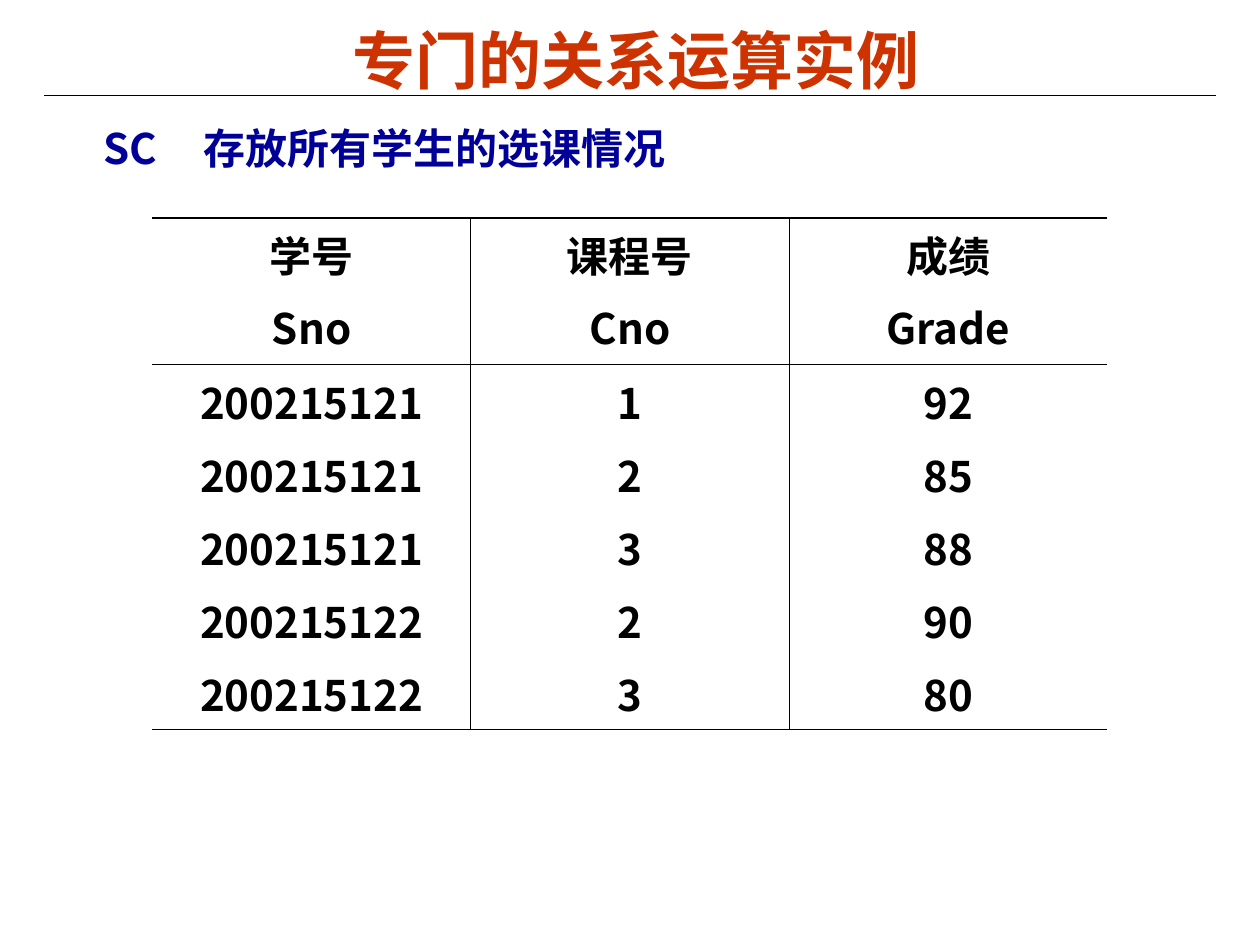
import pptx
import pptx.dml.color
import pptx.enum.shapes
import pptx.enum.text
import pptx.oxml.ns
import pptx.util
from lxml import etree

# Content
TITLE = "专门的关系运算实例"
CAPTION = "SC\t存放所有学生的选课情况"
ROWS = [
    ("学号\nSno", "课程号\nCno", "成绩\nGrade"),
    ("200215121", "1", "92"),
    ("200215121", "2", "85"),
    ("200215121", "3", "88"),
    ("200215122", "2", "90"),
    ("200215122", "3", "80"),
]

THEME = {
    "font": "Noto Sans CJK SC",
    "title": "CC3300", "caption": "000099", "ink": "000000",
    "title_size": 36, "body_size": 24,
    "rule": 0.75, "outer": 1.08, "inner": 0.45,
}
SLIDE_W, SLIDE_H = 10, 7.5
RULE_MARGIN, RULE_Y = 0.35, 0.76
TABLE_X, TABLE_Y, TABLE_W = 1.21, 1.73, 7.58
HEAD_H, ROW_H = 1.16, 0.58
NO_STYLE = "{2D5ABB26-0587-4C30-8999-92F81FD0307C}"

inch, pt = pptx.util.Inches, pptx.util.Pt
qn = pptx.oxml.ns.qn
rgb = pptx.dml.color.RGBColor.from_string


def write(tf, text, *, size, color, align="LEFT", gap=0, tab=None):
    """Fill a text frame with one bold paragraph per line of text."""
    for i, line in enumerate(text.split("\n")):
        p = tf.add_paragraph() if i else tf.paragraphs[0]
        p.alignment = getattr(pptx.enum.text.PP_ALIGN, align)
        if i:
            p.space_before = pt(gap)
        if tab:
            tabs = etree.SubElement(p._p.get_or_add_pPr(), qn("a:tabLst"))
            etree.SubElement(tabs, qn("a:tab"), pos=str(inch(tab)), algn="l")
        r = p.add_run()
        r.text = line
        r.font.size, r.font.bold = pt(size), True
        r.font.color.rgb = rgb(color)
        r.font.name = THEME["font"]
        etree.SubElement(r._r.get_or_add_rPr(), qn("a:ea"), typeface=THEME["font"])


def add_text(s, box, text, **fmt):
    tf = s.shapes.add_textbox(*map(inch, box)).text_frame
    tf.word_wrap = True
    tf.vertical_anchor = pptx.enum.text.MSO_ANCHOR.MIDDLE
    write(tf, text, **fmt)


def set_border(cell, side, width):
    """Draw one side of a cell; a width of None leaves it open."""
    ln = etree.SubElement(cell._tc.get_or_add_tcPr(), qn("a:ln" + side))
    if width is None:
        etree.SubElement(ln, qn("a:noFill"))
        return
    ln.set("w", str(pt(width)))
    fill = etree.SubElement(ln, qn("a:solidFill"))
    etree.SubElement(fill, qn("a:srgbClr"), val=THEME["ink"])


def add_grades(s):
    n_rows, n_cols = len(ROWS), len(ROWS[0])
    heights = [HEAD_H] + [ROW_H] * (n_rows - 1)
    frame = s.shapes.add_table(n_rows, n_cols, *map(
        inch, (TABLE_X, TABLE_Y, TABLE_W, sum(heights))))
    table = frame.table
    table.first_row = table.horz_banding = False
    table._tbl.tblPr.find(qn("a:tableStyleId")).text = NO_STYLE
    for row, height in zip(table.rows, heights):
        row.height = inch(height)

    # Thick rules outside, thin ones below the header and between columns
    outer, inner = THEME["outer"], THEME["inner"]
    levels = [outer, inner] + [None] * (n_rows - 2) + [outer]
    uprights = [None] + [inner] * (n_cols - 1) + [None]
    for i, values in enumerate(ROWS):
        for j, value in enumerate(values):
            cell = table.cell(i, j)
            for side, width in (("L", uprights[j]), ("R", uprights[j + 1]),
                                ("T", levels[i]), ("B", levels[i + 1])):
                set_border(cell, side, width)
            cell.fill.background()
            write(cell.text_frame, value, size=THEME["body_size"],
                  color=THEME["ink"], align="CENTER", gap=6)


def main():
    prs = pptx.Presentation()
    prs.slide_width, prs.slide_height = inch(SLIDE_W), inch(SLIDE_H)
    s = prs.slides.add_slide(prs.slide_layouts[6])

    # Rule under the title
    line = s.shapes.add_connector(
        pptx.enum.shapes.MSO_CONNECTOR.STRAIGHT,
        *map(inch, (RULE_MARGIN, RULE_Y, SLIDE_W - RULE_MARGIN, RULE_Y)))
    line.line.color.rgb = rgb(THEME["ink"])
    line.line.width = pt(THEME["rule"])
    etree.SubElement(line._element.spPr, qn("a:effectLst"))

    # Title and caption
    add_text(s, (1.01, 0.16, 8.08, 0.62), TITLE, size=THEME["title_size"],
             color=THEME["title"], align="CENTER")
    add_text(s, (0.72, 0.9, 8.41, 0.55), CAPTION, size=THEME["body_size"],
             color=THEME["caption"], tab=0.8)

    add_grades(s)
    prs.save("out.pptx")


if __name__ == "__main__":
    main()
